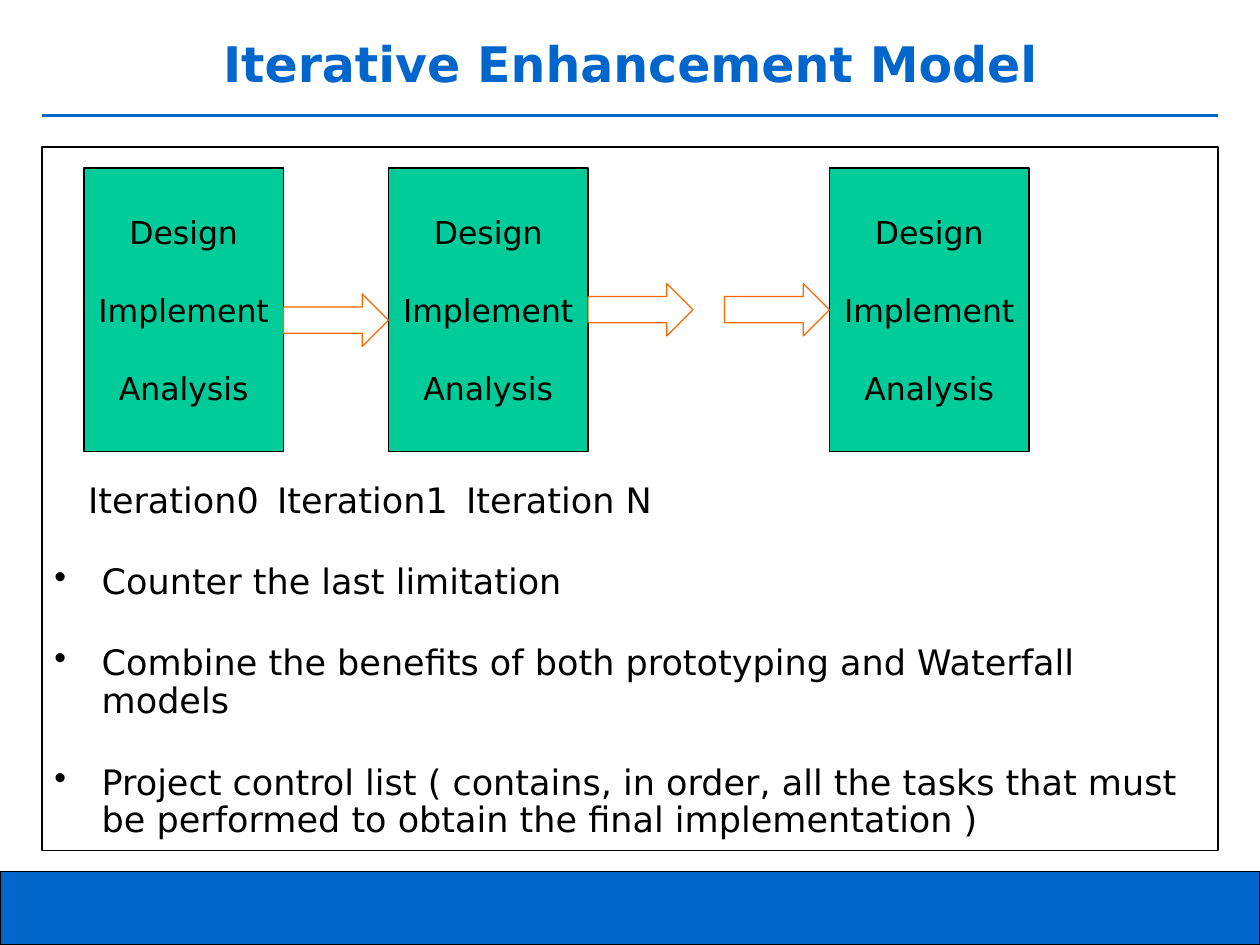
from lxml import etree
from pptx import Presentation, util as u
from pptx.dml.color import RGBColor
from pptx.enum import shapes, text
from pptx.oxml.ns import qn


def rgb(value):
    return RGBColor.from_string(value)


def write(tf, line, first=False, size=20, color="000000", bold=False,
          align=text.PP_ALIGN.LEFT, before=0, after=0, spacing=1.0,
          left=0, hang=0, bullet=None, tabs=()):
    p = tf.paragraphs[0] if first else tf.add_paragraph()
    pPr = p._p.get_or_add_pPr()
    pPr.set("marL", str(int(left)))
    pPr.set("indent", str(-int(hang)))
    if bullet:
        buClr = etree.SubElement(pPr, qn("a:buClr"))
        etree.SubElement(buClr, qn("a:srgbClr"), val=color)
        etree.SubElement(pPr, qn("a:buChar"), char=bullet)
    if tabs:
        tabLst = etree.SubElement(pPr, qn("a:tabLst"))
        for pos in tabs:
            etree.SubElement(tabLst, qn("a:tab"), pos=str(int(pos)), algn="l")
    p.alignment = align
    p.line_spacing = spacing
    p.space_before = u.Pt(0 if first else before)
    p.space_after = u.Pt(after)
    r = p.add_run()
    r.text = line
    r.font.name = "DejaVu Sans"
    r.font.size = u.Pt(size)
    r.font.bold = bold
    r.font.color.rgb = rgb(color)


prs = Presentation()
prs.slide_width = u.Inches(10)
prs.slide_height = u.Inches(7.5)
s = prs.slides.add_slide(prs.slide_layouts[6])
col = prs.slide_width // 120
row = prs.slide_height // 90

rect = shapes.MSO_SHAPE.RECTANGLE
arrow = shapes.MSO_SHAPE.RIGHT_ARROW
steps = ["Design", "Implement", "Analysis"]
items = [
    (rect, 0, 83, 120, 7, "0066CC", "000000"),
    (rect, 4, 14, 112, 67, "FFFFFF", "000000"),
    *[(rect, x, 16, 19, 27, "00CC99", "000000") for x in (8, 37, 79)],
    *[(arrow, x, y, 10, 5, "FFFFFF", "FF6600")
      for x, y in ((27, 28), (56, 27), (69, 27))],
]
drawn = []
for kind, x, y, w, h, fill, line in items:
    sp = s.shapes.add_shape(kind, x * col, y * row, w * col, h * row)
    sp.shadow.inherit = False
    sp.fill.solid()
    sp.fill.fore_color.rgb = rgb(fill)
    sp.line.color.rgb = rgb(line)
    sp.line.width = u.Pt(0.75)
    drawn.append(sp)
body, boxes = drawn[1], drawn[2:5]

rule = s.shapes.add_connector(shapes.MSO_CONNECTOR.STRAIGHT,
                              4 * col, 11 * row, 116 * col, 11 * row)
rule.line.color.rgb = rgb("0066CC")
rule.line.width = u.Pt(2.25)
etree.SubElement(rule._element.spPr, qn("a:effectLst"))

title = s.shapes.add_textbox(4 * col, 2 * row, 112 * col, 8 * row)
tf = title.text_frame
tf.word_wrap = True
tf.vertical_anchor = text.MSO_ANCHOR.MIDDLE
write(tf, "Iterative Enhancement Model", first=True, size=28,
      color="0066CC", bold=True, align=text.PP_ALIGN.CENTER)

for sp in boxes:
    tf = sp.text_frame
    tf.word_wrap = False
    tf.vertical_anchor = text.MSO_ANCHOR.MIDDLE
    for i, step in enumerate(steps):
        write(tf, step, first=i == 0, size=18, before=23,
              align=text.PP_ALIGN.CENTER)

tf = body.text_frame
tf.word_wrap = True
tf.vertical_anchor = text.MSO_ANCHOR.TOP
tf.margin_top = 32 * row
write(tf, "Iteration0\tIteration1\tIteration N", first=True, after=6.2,
      spacing=0.9, left=3.2 * col, tabs=(26.9 * col, 68.5 * col))
for line in [
    "Counter the last limitation",
    "Combine the benefits of both prototyping and Waterfall models",
    "Project control list ( contains, in order, all the tasks that must "
    "be performed to obtain the final implementation )",
]:
    write(tf, line, before=18.7, after=6.2, spacing=0.9,
          left=4.5 * col, hang=4.5 * col, bullet="•")

prs.save("out.pptx")
